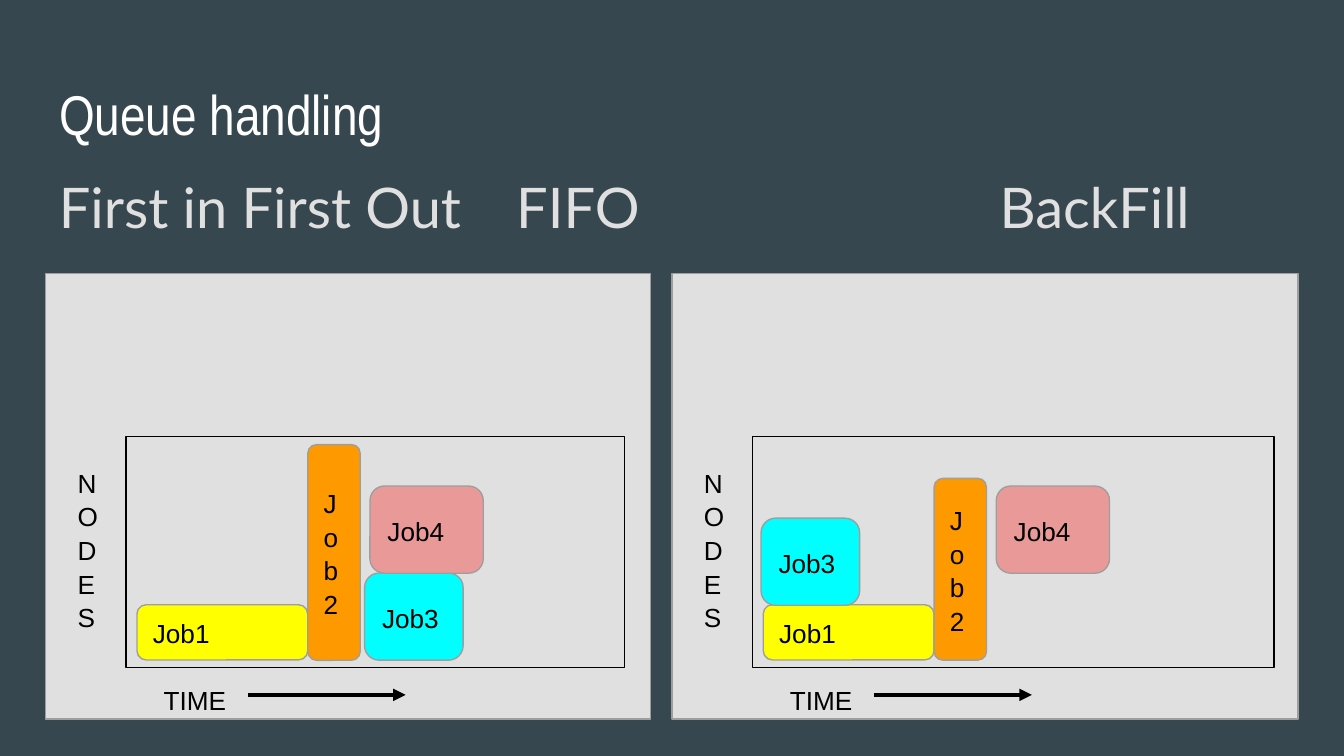
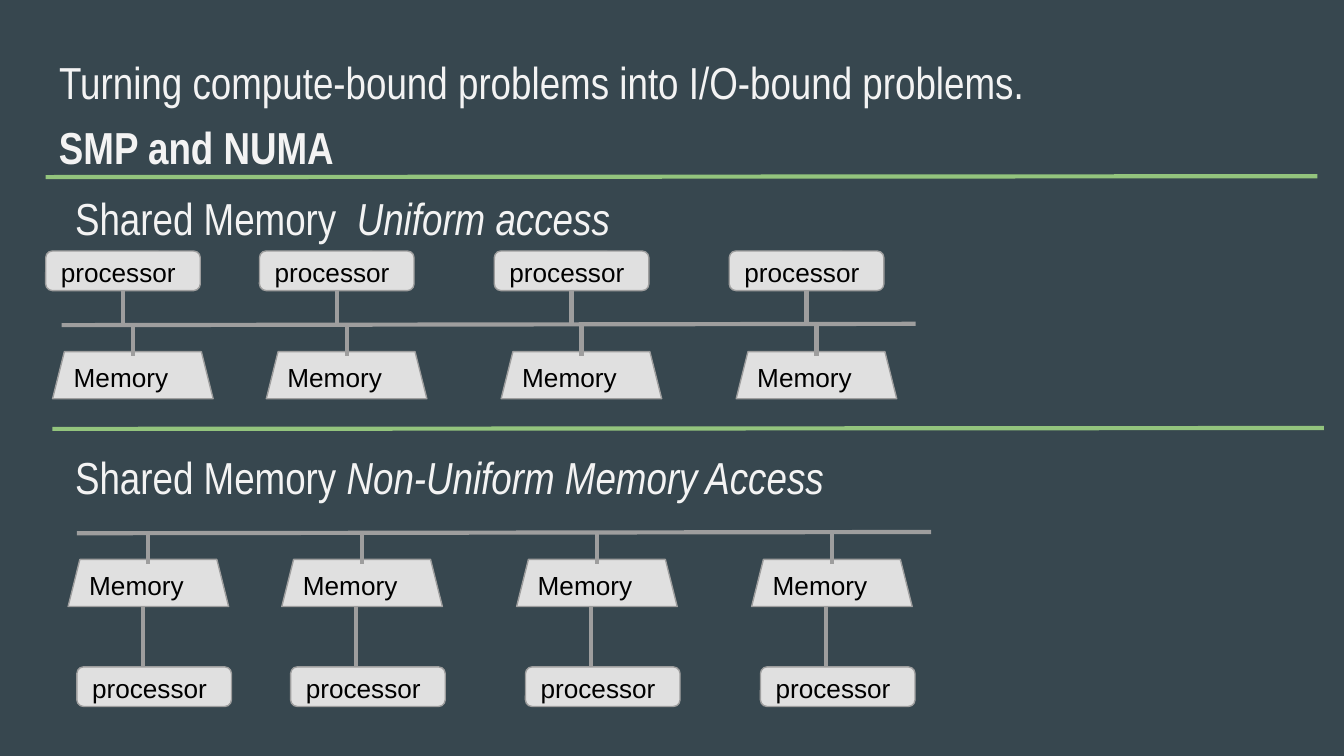
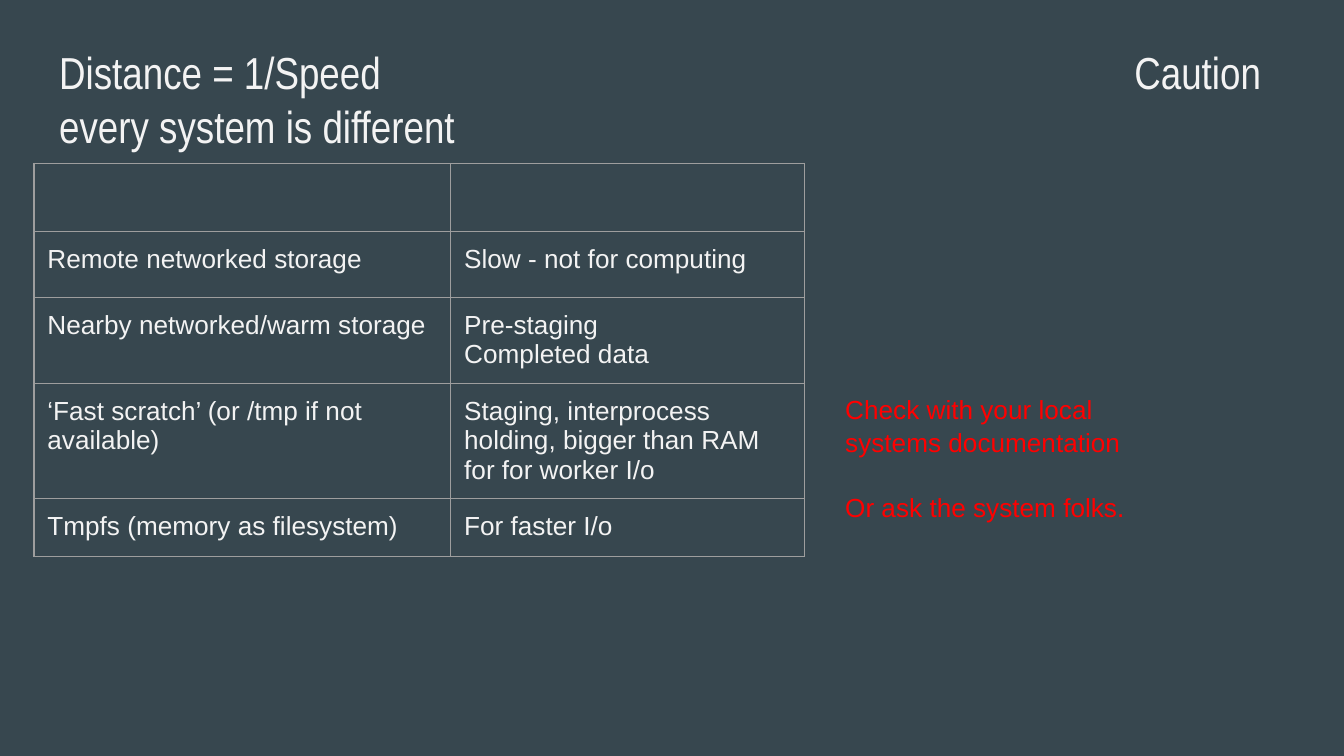
from dataclasses import dataclass, replace
from typing import Any, Optional

from lxml import etree
from pptx import Presentation
from pptx.dml.color import RGBColor
from pptx.enum.shapes import MSO_CONNECTOR, MSO_SHAPE
from pptx.enum.text import MSO_ANCHOR, MSO_AUTO_SIZE, PP_ALIGN
from pptx.oxml.ns import qn
from pptx.slide import Slide
from pptx.util import Pt

RECTANGLE = MSO_SHAPE.RECTANGLE
ROUNDED = MSO_SHAPE.ROUNDED_RECTANGLE
TRAPEZOID = MSO_SHAPE.TRAPEZOID
STRAIGHT = MSO_CONNECTOR.STRAIGHT
TOP, MIDDLE = MSO_ANCHOR.TOP, MSO_ANCHOR.MIDDLE
LEFT = PP_ALIGN.LEFT
NO_AUTOFIT = MSO_AUTO_SIZE.NONE
TITLE_ONLY = 5
BOTTOM_SIDE = 2

Box = tuple[float, float, float, float]
Point = tuple[float, float]


@dataclass(frozen=True)
class TextStyle:
    font: str
    size: float
    color: str
    bold: bool = False
    line_spacing: float = 1.0


@dataclass(frozen=True)
class Theme:
    background: str = "37474F"
    panel: str = "E0E0E0"
    outline: str = "9E9E9E"
    ink: str = "000000"
    divider: str = "93C47D"
    thin: float = 0.75
    thick: float = 2.25
    inset: float = 7.2
    title: TextStyle = TextStyle("Arial Narrow", 30, "FFFFFF")
    heading: TextStyle = TextStyle("Arial Narrow", 24, "F3F3F3")
    strong: TextStyle = TextStyle("Arial Narrow", 24, "F3F3F3", bold=True)
    subtitle: TextStyle = TextStyle("Lato", 30, "E0E0E0")
    label: TextStyle = TextStyle("Arial", 14, "000000", line_spacing=1.07)
    cell: TextStyle = TextStyle("Arial", 14, "F3F3F3")
    warning: TextStyle = TextStyle("Arial", 14, "FF0000", line_spacing=1.07)


THEME = Theme()


@dataclass(frozen=True)
class Job:
    """A queued job, placed relative to the first panel."""
    name: str
    fill: str
    box: Box


@dataclass(frozen=True)
class QueuePanel:
    offset: float
    width: float
    frame_width: float
    jobs: tuple[Job, ...]


@dataclass(frozen=True)
class MemoryBank:
    """A bus with processors and memories; points belong to the first column."""
    heading: str
    access: str
    heading_top: float
    bus: tuple[Point, Point]
    processor: Point
    memory: Point
    stub: tuple[Point, Point]
    link: Optional[tuple[Point, Point]] = None


# Shared helpers
def rgb(color: str) -> RGBColor:
    return RGBColor.from_string(color)


def set_attributes(target: Any, values: dict[str, Any]) -> None:
    for name, value in values.items():
        setattr(target, name, value)


def format_run(run: Any, style: TextStyle, italic: bool = False) -> None:
    set_attributes(run.font, {"name": style.font, "size": Pt(style.size),
                              "bold": style.bold, "italic": italic})
    run.font.color.rgb = rgb(style.color)


def write_text(text_frame: Any, lines: list[str], style: TextStyle,
               anchor: Any = TOP, gap: float = 0) -> None:
    inset = Pt(THEME.inset)
    set_attributes(text_frame, {
        "word_wrap": True, "auto_size": NO_AUTOFIT, "vertical_anchor": anchor,
        "margin_left": inset, "margin_right": inset,
        "margin_top": inset, "margin_bottom": inset})
    write_paragraphs(text_frame, lines, style, gap)


def write_paragraphs(text_frame: Any, lines: list[str], style: TextStyle,
                     gap: float = 0) -> None:
    for index, line in enumerate(lines):
        paragraph = text_frame.add_paragraph() if index else text_frame.paragraphs[0]
        paragraph.text = line
        set_attributes(paragraph, {
            "alignment": LEFT, "line_spacing": style.line_spacing,
            "space_before": Pt(gap if index else 0), "space_after": Pt(0)})
        for run in paragraph.runs:
            format_run(run, style)


def set_tab_stops(paragraph: Any, positions: list[float]) -> None:
    properties = paragraph._p.get_or_add_pPr()
    tab_list = etree.SubElement(properties, qn("a:tabLst"))
    for position in positions:
        etree.SubElement(tab_list, qn("a:tab"), pos=str(Pt(position)), algn="l")


def add_text(slide: Slide, box: Box, lines: list[str], style: TextStyle,
             gap: float = 0) -> Any:
    text_box = slide.shapes.add_textbox(*map(Pt, box))
    write_text(text_box.text_frame, lines, style, gap=gap)
    return text_box


def add_title_slide(presentation: Any, title: str, top: float,
                    style: TextStyle) -> Slide:
    slide = presentation.slides.add_slide(presentation.slide_layouts[TITLE_ONLY])
    shape = slide.shapes.title
    set_attributes(shape, {"left": Pt(24.5), "top": Pt(top),
                           "width": Pt(671), "height": Pt(45)})
    write_text(shape.text_frame, [title], style)
    return slide


def add_block(slide: Slide, kind: Any, box: Box, fill: str,
              outline: str = THEME.outline, text: str = "") -> Any:
    shape = slide.shapes.add_shape(kind, *map(Pt, box))
    shape.shadow.inherit = False
    shape.fill.solid()
    shape.fill.fore_color.rgb = rgb(fill)
    shape.line.color.rgb = rgb(outline)
    shape.line.width = Pt(THEME.thin)
    if text:
        write_text(shape.text_frame, [text], THEME.label, MIDDLE)
    return shape


def add_line(slide: Slide, start: Point, end: Point, color: str,
             arrow: bool = False) -> Any:
    line = slide.shapes.add_connector(STRAIGHT, *map(Pt, (*start, *end)))
    line.line.color.rgb = rgb(color)
    line.line.width = Pt(THEME.thick)
    if arrow:
        etree.SubElement(line.line._get_or_add_ln(), qn("a:tailEnd"), type="triangle")
    etree.SubElement(line._element.spPr, qn("a:effectLst"))
    return line


def shift(point: Point, offset: float) -> Point:
    return point[0] + offset, point[1]


# Queue handling
JOB1 = Job("Job1", "FFFF00", (73.4, 324, 91.5, 29.6))
JOB2 = Job("Job2", "FF9900", (164.9, 238.2, 28.1, 115.6))
JOB3 = Job("Job3", "00FFFF", (195.3, 307, 52.8, 46.7))
JOB4 = Job("Job4", "EA9999", (198.2, 260.4, 60.7, 46.7))

QUEUE_PANELS = (
    QueuePanel(0, 324, 267.2, (JOB1, JOB2, JOB3, JOB4)),
    QueuePanel(335.5, 335.5, 279.5, (
        JOB1,
        replace(JOB2, box=(164.9, 256.3, 28.1, 97.4)),
        replace(JOB3, box=(72.2, 277.6, 52.8, 46.7)),
        JOB4)),
)


def draw_queue_panel(slide: Slide, panel: QueuePanel) -> None:
    offset = panel.offset
    add_block(slide, RECTANGLE, (24.5 + offset, 146.7, panel.width, 238.5), THEME.panel)
    add_block(slide, RECTANGLE, (67.5 + offset, 234, panel.frame_width, 123.6),
              THEME.panel, THEME.ink)
    add_text(slide, (34.5 + offset, 242, 28.1, 107.3), ["NODES"], THEME.label)
    add_text(slide, (80.6 + offset, 358.4, 239, 13.7), ["TIME"], THEME.label)
    add_line(slide, (133 + offset, 372.3), (217.3 + offset, 372.3), THEME.ink, arrow=True)
    for job in panel.jobs:
        left, top, width, height = job.box
        add_block(slide, ROUNDED, (left + offset, top, width, height),
                  job.fill, text=job.name)


def build_queue_slide(presentation: Any) -> None:
    slide = add_title_slide(presentation, "Queue handling", 35.3, THEME.title)
    subtitle = add_text(slide, (24.5, 85, 633.6, 72.7),
                        ["First in First Out\tFIFO\tBackFill"], THEME.subtitle)
    set_tab_stops(subtitle.text_frame.paragraphs[0], [245, 504])
    for panel in QUEUE_PANELS:
        draw_queue_panel(slide, panel)


# SMP and NUMA
COLUMN_OFFSETS = (0, 114.5, 240.3, 366.2)
PROCESSOR_SIZE = (82.8, 21.2)
MEMORY_SIZE = (86, 25.2)
MEMORY_BANKS = (
    MemoryBank("Shared Memory  ", "Uniform access", 95,
               bus=((33, 174.2), (490.5, 173.5)),
               processor=(24.5, 134.5), memory=(28.2, 188.4),
               stub=((71.2, 173.5), (71.2, 190.8))),
    MemoryBank("Shared Memory ", "Non-Uniform Memory Access", 234,
               bus=((41.2, 285.7), (498.8, 285)),
               processor=(41.2, 357.3), memory=(36.5, 299.7),
               stub=((79.5, 284.6), (79.5, 302.4)),
               link=((76.4, 324.9), (76.4, 357.3))),
)


def draw_memory_bank(slide: Slide, bank: MemoryBank) -> None:
    heading = add_text(slide, (33.1, bank.heading_top, 671, 45),
                       [bank.heading], THEME.heading)
    access = heading.text_frame.paragraphs[0].add_run()
    access.text = bank.access
    format_run(access, THEME.heading, italic=True)
    add_line(slide, *bank.bus, THEME.outline)
    for offset in COLUMN_OFFSETS:
        processor = add_block(slide, ROUNDED,
                              (*shift(bank.processor, offset), *PROCESSOR_SIZE),
                              THEME.panel, text="processor")
        add_block(slide, TRAPEZOID, (*shift(bank.memory, offset), *MEMORY_SIZE),
                  THEME.panel, text="Memory")
        stub_start, stub_end = bank.stub
        add_line(slide, shift(stub_start, offset), shift(stub_end, offset), THEME.outline)
        if bank.link:
            link_start, link_end = bank.link
            add_line(slide, shift(link_start, offset), shift(link_end, offset),
                     THEME.outline)
        else:
            left, top = shift(bank.processor, offset)
            width, height = PROCESSOR_SIZE
            middle = left + width / 2
            link = add_line(slide, (middle, top + height), (middle, stub_start[1]),
                            THEME.outline)
            link.begin_connect(processor, BOTTOM_SIDE)


def build_memory_slide(presentation: Any) -> None:
    slide = add_title_slide(
        presentation, "Turning compute-bound problems into I/O-bound problems.",
        22.3, THEME.heading)
    add_text(slide, (24.5, 56.9, 671, 45), ["SMP and NUMA"], THEME.strong)
    for bank in MEMORY_BANKS:
        draw_memory_bank(slide, bank)
    for left, top in ((28.1, 229.8), (24.5, 94.9)):
        add_line(slide, (left, top), (left + 681.2, top - 0.5), THEME.divider)


# Storage speed
STORAGE_ROWS = (
    ([], []),
    (["Remote networked storage"], ["Slow - not for computing"]),
    (["Nearby networked/warm storage"], ["Pre-staging", "Completed data"]),
    (["‘Fast scratch’ (or /tmp if not available)"],
     ["Staging, interprocess holding, bigger than RAM for for worker I/o"]),
    (["Tmpfs (memory as filesystem)"], ["For faster I/o"]),
)
COLUMN_WIDTHS = (223.3, 189.3)
ROW_HEIGHTS = (31, 35.3, 46.2, 30.2, 31)


def set_borders(cell: Any) -> None:
    properties = cell._tc.get_or_add_tcPr()
    for index, side in enumerate(("a:lnL", "a:lnR", "a:lnT", "a:lnB")):
        border = etree.Element(qn(side), w=str(Pt(THEME.thin)))
        fill = etree.SubElement(border, qn("a:solidFill"))
        etree.SubElement(fill, qn("a:srgbClr"), val=THEME.outline)
        properties.insert(index, border)


def draw_storage_table(slide: Slide) -> None:
    frame = slide.shapes.add_table(
        len(ROW_HEIGHTS), len(COLUMN_WIDTHS), Pt(18.2), Pt(87.5),
        Pt(sum(COLUMN_WIDTHS)), Pt(sum(ROW_HEIGHTS)))
    table = frame.table
    set_attributes(table, {"first_row": False, "horz_banding": False})
    for column, width in zip(table.columns, COLUMN_WIDTHS):
        column.width = Pt(width)
    inset = Pt(THEME.inset)
    for row, height, contents in zip(table.rows, ROW_HEIGHTS, STORAGE_ROWS):
        row.height = Pt(height)
        for cell, lines in zip(row.cells, contents):
            set_attributes(cell, {
                "margin_left": inset, "margin_right": inset, "margin_top": inset,
                "margin_bottom": inset, "vertical_anchor": TOP})
            cell.fill.background()
            set_borders(cell)
            write_paragraphs(cell.text_frame, lines, THEME.cell)


def build_storage_slide(presentation: Any) -> None:
    slide = add_title_slide(
        presentation, "Distance = 1/Speed\tCaution\vevery system is different",
        16.6, THEME.heading)
    set_tab_stops(slide.shapes.title.text_frame.paragraphs[0], [576])
    draw_storage_table(slide)
    add_text(slide, (445.7, 202.3, 178.6, 93.6),
             ["Check with your local systems documentation", "Or ask the system folks."],
             THEME.warning, gap=16.8)


def main() -> None:
    presentation = Presentation()
    set_attributes(presentation, {"slide_width": Pt(720), "slide_height": Pt(405)})
    background = presentation.slide_master.background.fill
    background.solid()
    background.fore_color.rgb = rgb(THEME.background)
    build_queue_slide(presentation)
    build_memory_slide(presentation)
    build_storage_slide(presentation)
    presentation.save("out.pptx")


if __name__ == "__main__":
    main()
